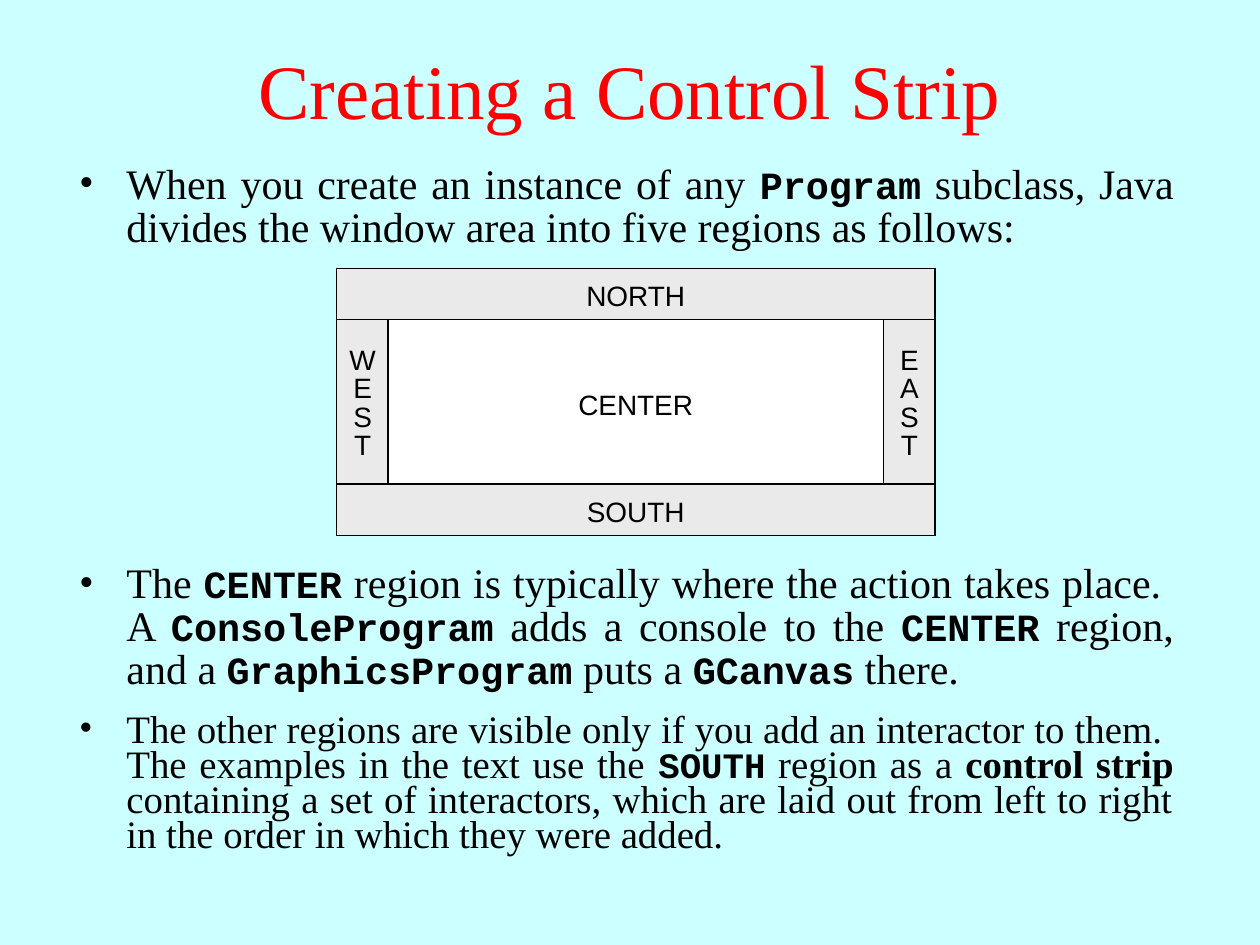
"""Build a slide on the five regions of a program window and the control strip."""
from dataclasses import dataclass

from lxml import etree
from pptx import Presentation
from pptx import util as u
from pptx.dml.color import RGBColor
from pptx.enum import shapes, text
from pptx.oxml import ns


@dataclass(frozen=True)
class Theme:
    background: str = "CCFFFF"
    title: str = "FF0000"
    ink: str = "000000"
    strip: str = "EAEAEA"
    center: str = "FFFFFF"
    serif: str = "Times New Roman"
    sans: str = "Arial"
    mono: str = "Courier New"
    title_size: float = 44
    label_size: float = 16
    body_sizes: tuple = (24, 22)
    small_sizes: tuple = (22.2, 20.4)


def rgb(value):
    return RGBColor.from_string(value)


def write(paragraph, content, *, font, size, color, bold=False):
    run = paragraph.add_run()
    run.text = content
    run.font.name = font
    run.font.size = u.Pt(size)
    run.font.bold = bold
    run.font.color.rgb = rgb(color)


def place(shape, left, top, width, height):
    shape.left, shape.top = u.Pt(left), u.Pt(top)
    shape.width, shape.height = u.Pt(width), u.Pt(height)


def prepare(frame, anchor):
    frame.word_wrap = True
    frame.auto_size = text.MSO_AUTO_SIZE.NONE
    frame.vertical_anchor = anchor
    return frame.paragraphs[0]


def add_bullet(paragraph, color, font, indent):
    properties = paragraph._p.get_or_add_pPr()
    properties.set("marL", str(u.Pt(indent)))
    properties.set("indent", str(-u.Pt(indent)))
    bullet_color = etree.SubElement(properties, ns.qn("a:buClr"))
    etree.SubElement(bullet_color, ns.qn("a:srgbClr"), val=color)
    etree.SubElement(properties, ns.qn("a:buFont"), typeface=font)
    etree.SubElement(properties, ns.qn("a:buChar"), char="•")


class SlideBuilder:
    def __init__(self, presentation, theme):
        self.theme = theme
        self.slide = presentation.slides.add_slide(presentation.slide_layouts[4])
        fill = self.slide.background.fill
        fill.solid()
        fill.fore_color.rgb = rgb(theme.background)
        self.bodies = list(self.slide.placeholders)[1:]

    def title(self, content, box):
        shape = self.slide.shapes.title
        place(shape, *box)
        paragraph = prepare(shape.text_frame, text.MSO_ANCHOR.MIDDLE)
        paragraph.alignment = text.PP_ALIGN.CENTER
        write(paragraph, content, font=self.theme.serif,
              size=self.theme.title_size, color=self.theme.title)

    def bullet(self, parts, box, sizes, spacing):
        theme = self.theme
        shape = self.bodies.pop(0)
        place(shape, *box)
        paragraph = prepare(shape.text_frame, text.MSO_ANCHOR.TOP)
        paragraph.alignment = text.PP_ALIGN.JUSTIFY
        paragraph.line_spacing = spacing
        paragraph.space_before = u.Pt(0)
        paragraph.space_after = u.Pt(15)
        add_bullet(paragraph, theme.ink, theme.serif, 27)
        body_size, code_size = sizes
        formats = {
            "plain": dict(font=theme.serif, size=body_size),
            "bold": dict(font=theme.serif, size=body_size, bold=True),
            "code": dict(font=theme.mono, size=code_size, bold=True),
        }
        for style, content in parts:
            write(paragraph, content, color=theme.ink, **formats[style])

    def region(self, box, fill):
        shape = self.slide.shapes.add_shape(
            shapes.MSO_SHAPE.RECTANGLE, *map(u.Pt, box))
        shape.shadow.inherit = False
        shape.fill.solid()
        shape.fill.fore_color.rgb = rgb(fill)
        shape.line.color.rgb = rgb(self.theme.ink)
        shape.line.width = u.Pt(0.75)

    def label(self, content, box, spacing=1.0):
        shape = self.slide.shapes.add_textbox(*map(u.Pt, box))
        paragraph = prepare(shape.text_frame, text.MSO_ANCHOR.TOP)
        paragraph.alignment = text.PP_ALIGN.CENTER
        paragraph.line_spacing = spacing
        write(paragraph, content, font=self.theme.sans,
              size=self.theme.label_size, color=self.theme.ink)

    def window(self, left, top, width, height, strip):
        overlap, label_height, side_label_height = 1.25, 26.5, 72.75
        east = left + width - strip
        south = top + height - strip
        side_top = top + strip - overlap
        side_height = south - side_top + overlap
        self.region((left, top, width, height), self.theme.center)
        for x in (left, east):
            self.region((x, side_top, strip, side_height), self.theme.strip)
        for y in (top, south):
            self.region((left, y, width, strip), self.theme.strip)
        inset = (strip - label_height) / 2 + 0.75
        center_top = top + (height - label_height) / 2 + 1.5
        self.label("CENTER", (left + strip, center_top, width - 2 * strip, label_height))
        for content, y in (("NORTH", top), ("SOUTH", south)):
            self.label(content, (left, y + inset, width, label_height))
        side_label_top = top + 41.75
        for content, x in (("WEST", left), ("EAST", east)):
            self.label(content, (x, side_label_top, 30, side_label_height), 0.85)

    def finish(self):
        for shape in self.bodies:
            shape.element.getparent().remove(shape.element)


def main():
    presentation = Presentation()
    presentation.slide_width, presentation.slide_height = u.Pt(720), u.Pt(540)
    theme = Theme()
    builder = SlideBuilder(presentation, theme)
    builder.title("Creating a Control Strip", (0, 5.75, 720, 90))
    bullets = [
        (90.75, theme.body_sizes, 0.85, [
            ("plain", "When you create an instance of any "),
            ("code", "Program"),
            ("plain", " subclass, Java divides the window area into five"
                      " regions as follows:"),
        ]),
        (319, theme.body_sizes, 0.85, [
            ("plain", "The "),
            ("code", "CENTER"),
            ("plain", " region is typically where the action takes place.  A "),
            ("code", "ConsoleProgram"),
            ("plain", " adds a console to the "),
            ("code", "CENTER"),
            ("plain", " region, and a "),
            ("code", "GraphicsProgram"),
            ("plain", " puts a "),
            ("code", "GCanvas"),
            ("plain", " there."),
        ]),
        (405.5, theme.small_sizes, 0.75, [
            ("plain", "The other regions are visible only if you add an"
                      " interactor to them.  The examples in the text use the "),
            ("code", "SOUTH"),
            ("plain", " region as a "),
            ("bold", "control strip"),
            ("plain", " containing a set of interactors, which are laid out"
                      " from left to right in the order in which they were added."),
        ]),
    ]
    for top, sizes, spacing, parts in bullets:
        builder.bullet(parts, (38, top, 640, 89.25), sizes, spacing)
    builder.window(192.25, 153.25, 342, 152.75, 29.5)
    builder.finish()
    presentation.save("out.pptx")


if __name__ == "__main__":
    main()
